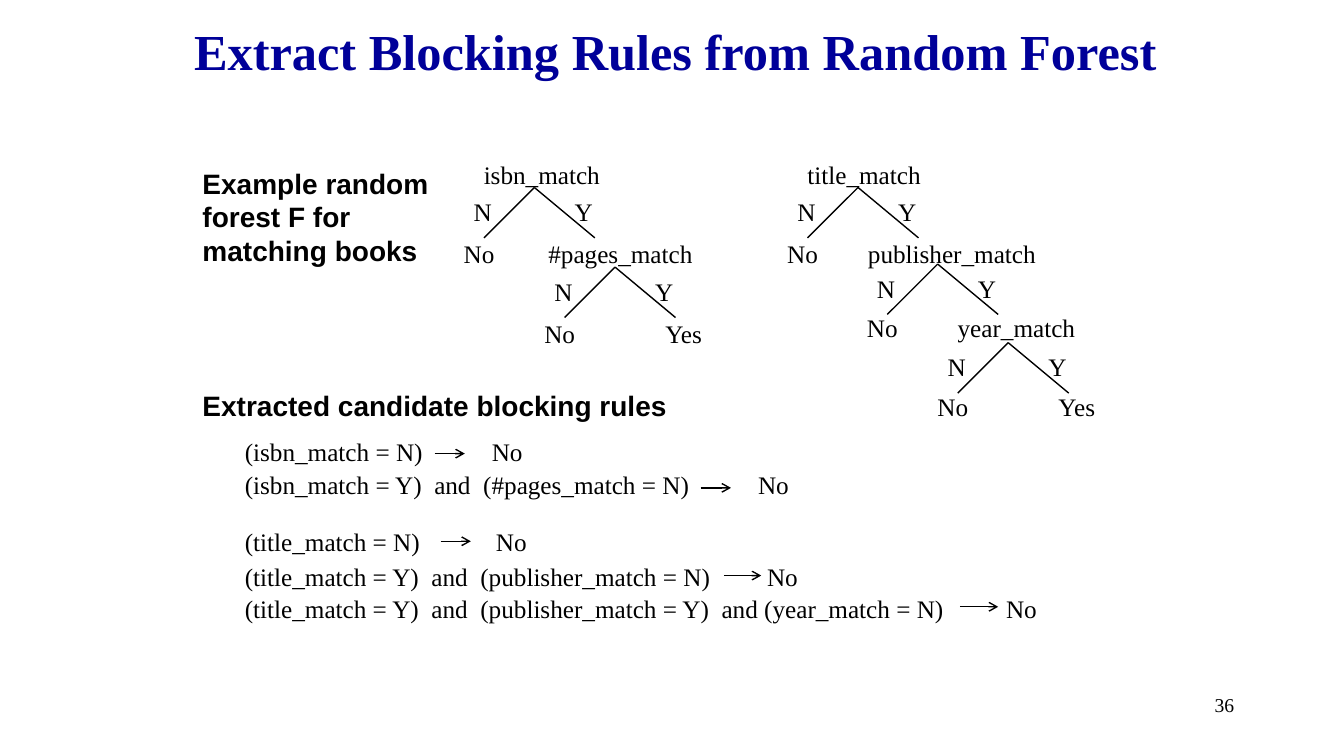
from dataclasses import dataclass

from lxml.etree import SubElement
from pptx import Presentation
from pptx.dml.color import RGBColor
from pptx.enum.shapes import MSO_CONNECTOR as CONN
from pptx.enum.text import MSO_ANCHOR as ANCHOR, PP_ALIGN as ALIGN
from pptx.oxml.ns import qn
from pptx.util import Inches, Pt


@dataclass(frozen=True)
class Theme:
    serif: str = "Times New Roman"
    sans: str = "Arial"
    navy: RGBColor = RGBColor(0x00, 0x00, 0x99)
    black: RGBColor = RGBColor(0x00, 0x00, 0x00)
    title: int = 36
    heading: int = 20
    body: int = 18
    number: int = 14
    line: int = 1


THEME = Theme()

TITLE = "Extract Blocking Rules from Random Forest"
PAGE = "36"

# text, left, top, width, height
HEADINGS = [
    ("Example random\vforest F for\nmatching books", 1.91, 1.6, 2.54, 1.11),
    ("Extracted candidate blocking rules", 1.91, 3.81, 4.84, 0.44),
]

# Each node: feature, label left, label top, label width, fork x, fork y
# Each tree: its nodes from the root down, then the top of its last leaves
TREES = [
    ([("isbn_match", 4.7, 1.53, 1.4, 5.3, 1.86),
      ("#pages_match", 5.34, 2.32, 1.78, 6.1, 2.65)], 3.11),
    ([("title_match", 7.91, 1.53, 1.4, 8.51, 1.86),
      ("publisher_match", 8.51, 2.32, 1.99, 9.3, 2.62),
      ("year_match", 9.4, 3.05, 1.43, 10, 3.4)], 3.83),
]

# condition, top, width, arrow start, arrow end, arrow y, outcome x
RULES = [
    ("(isbn_match = N)", 4.28, 3, 4.31, 4.61, 4.5, 4.88),
    ("(isbn_match = Y)  and  (#pages_match = N)",
     4.61, 5.67, 6.95, 7.25, 4.84, 7.52),
    ("(title_match = N)", 5.17, 3.08, 4.37, 4.67, 5.37, 4.92),
    ("(title_match = Y)  and  (publisher_match = N)",
     5.52, 6, 7.18, 7.55, 5.71, 7.61),
    ("(title_match = Y)  and  (publisher_match = Y)  and (year_match = N)",
     5.84, 8.17, 9.52, 9.9, 6.02, 9.98),
]
RULE_LEFT = 2.33
INSET = 0.1
ROW = 0.4


def add_text(shapes, text, x, y, w, h=ROW, size=THEME.body, font=THEME.serif,
             color=THEME.black, bold=False, align=ALIGN.LEFT, wrap=True):
    sp = shapes.add_textbox(Inches(x), Inches(y), Inches(w), Inches(h))
    tf = sp.text_frame
    tf.text = text
    tf.word_wrap = wrap
    for p in tf.paragraphs:
        p.alignment = align
        for r in p.runs:
            r.font.name, r.font.size = font, Pt(size)
            r.font.bold, r.font.color.rgb = bold, color
    return tf


def add_line(shapes, x1, y1, x2, y2, arrow=False):
    line = shapes.add_connector(
        CONN.STRAIGHT, Inches(x1), Inches(y1), Inches(x2), Inches(y2))
    line.line.color.rgb = THEME.black
    line.line.width = Pt(THEME.line)
    if arrow:
        SubElement(line.line._get_or_add_ln(), qn("a:tailEnd"), type="arrow")
    SubElement(line._element.spPr, qn("a:effectLst"))


def add_tree(shapes, nodes, last_top):
    group = shapes.add_group_shape().shapes
    leaf_tops = [node[2] for node in nodes[1:]] + [last_top]
    for (feature, left, top, width, x, y), leaf_top in zip(nodes, leaf_tops):
        add_text(group, feature, left, top, width)
        add_line(group, x, y, x - 0.5, y + 0.5)
        add_line(group, x, y, x + 0.6, y + 0.5)
        add_text(group, "N", x - 0.7, y + 0.04, 0.4)
        add_text(group, "Y", x + 0.3, y + 0.04, 0.4)
        add_text(group, "No", x - 0.8, leaf_top, 0.6)
    add_text(group, "Yes", x + 0.4, last_top, 0.6)


def add_rule(shapes, condition, top, width, start, end, arrow_y, outcome_x):
    tf = add_text(shapes, condition + "\tNo", RULE_LEFT, top, width)
    tabs = SubElement(tf.paragraphs[0]._p.get_or_add_pPr(), qn("a:tabLst"))
    stop = Inches(outcome_x - RULE_LEFT - INSET)
    SubElement(tabs, qn("a:tab"), pos=str(int(stop)), algn="l")
    add_line(shapes, start, arrow_y, end, arrow_y, arrow=True)


def main():
    prs = Presentation()
    prs.slide_width, prs.slide_height = Inches(13.33), Inches(7.5)
    shapes = prs.slides.add_slide(prs.slide_layouts[6]).shapes

    tf = add_text(shapes, TITLE, 1.62, 0.25, 10.16, 0.65, size=THEME.title,
                  color=THEME.navy, bold=True, align=ALIGN.CENTER)
    tf.vertical_anchor = ANCHOR.BOTTOM
    tf.margin_top = tf.margin_bottom = Inches(INSET)
    add_text(shapes, PAGE, 9.56, 6.83, 2.78, 0.5, size=THEME.number,
             align=ALIGN.RIGHT)

    for heading in HEADINGS:
        add_text(shapes, *heading, size=THEME.heading, font=THEME.sans,
                 bold=True, wrap=False)
    for tree in TREES:
        add_tree(shapes, *tree)
    for rule in RULES:
        add_rule(shapes, *rule)

    prs.save("out.pptx")


if __name__ == "__main__":
    main()
